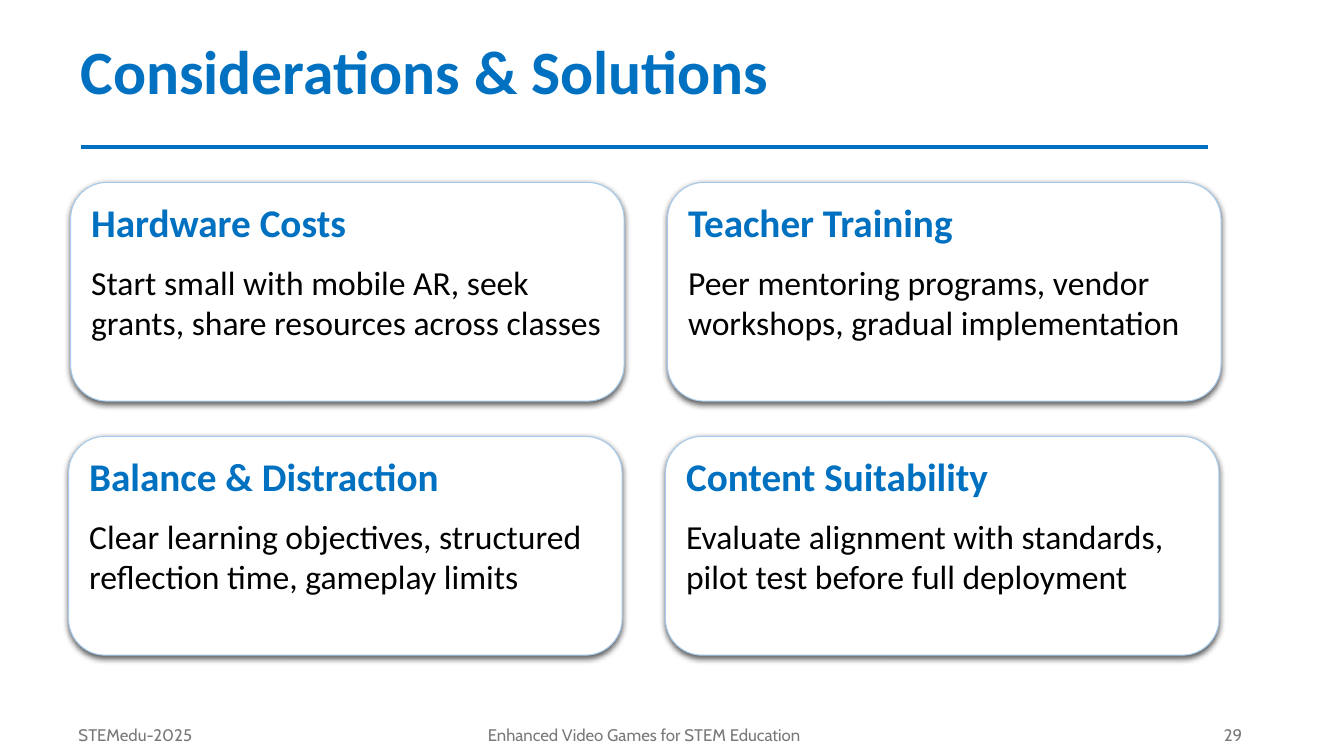
from lxml import etree
from pptx import Presentation
from pptx import util as u
from pptx.dml.color import RGBColor
from pptx.enum import shapes, text
from pptx.oxml import ns, parse_xml

BLUE = RGBColor(0x00, 0x70, 0xC0)
PALE_BLUE = RGBColor(0xA6, 0xCA, 0xEC)
GREY = RGBColor(0x79, 0x79, 0x79)
BLACK = RGBColor(0, 0, 0)
WHITE = RGBColor(0xFF, 0xFF, 0xFF)

CARDS = [
    ("Hardware Costs", "Start small with mobile AR, seek grants, share resources across classes"),
    ("Teacher Training", "Peer mentoring programs, vendor workshops, gradual implementation"),
    ("Balance & Distraction", "Clear learning objectives, structured reflection time, gameplay limits"),
    ("Content Suitability", "Evaluate alignment with standards, pilot test before full deployment"),
]
FOOTERS = [
    ("29", 9.42, 3, text.PP_ALIGN.RIGHT),
    ("Enhanced Video Games for STEM Education", 2.93, 6.92, text.PP_ALIGN.CENTER),
    ("STEMedu-2025", 0.68, 2.25, text.PP_ALIGN.LEFT),
]
SHADOW = (
    f'<a:effectLst {ns.nsdecls("a")}>'
    '<a:outerShdw blurRad="57150" dist="19050" dir="5400000" algn="ctr" rotWithShape="0">'
    '<a:srgbClr val="000000"><a:alpha val="63000"/></a:srgbClr>'
    '</a:outerShdw></a:effectLst>'
)


class Deck:
    """Holds the style and the current slide, and draws each kind of element."""

    body_font = "Calibri"
    footer_font = "Cabin"

    def __init__(self):
        self.prs = Presentation()
        self.prs.slide_width = u.Inches(13.33)
        self.prs.slide_height = u.Inches(7.5)
        self.s = self.prs.slides.add_slide(self.prs.slide_layouts[5])

    def run(self, p, words, size, color, font, bold=False):
        r = p.add_run()
        r.text = words
        r.font.size = u.Pt(size)
        r.font.name = font
        r.font.bold = bold
        r.font.color.rgb = color

    def title(self, words):
        sp = self.s.shapes.title
        sp.left, sp.top = u.Inches(0), u.Inches(0.01)
        sp.width, sp.height = u.Inches(13.33), u.Inches(1.45)
        tf = sp.text_frame
        tf.auto_size = text.MSO_AUTO_SIZE.NONE
        tf.vertical_anchor = text.MSO_ANCHOR.MIDDLE
        p = tf.paragraphs[0]
        p.alignment = text.PP_ALIGN.LEFT
        p.line_spacing = 0.9
        pPr = p._p.get_or_add_pPr()
        pPr.set("marL", str(u.Inches(0.7)))
        pPr.set("indent", "0")
        self.run(p, words, 44, BLUE, self.body_font, True)

    def rule(self, x1, x2, y):
        line = self.s.shapes.add_connector(
            shapes.MSO_CONNECTOR.STRAIGHT, u.Inches(x1), u.Inches(y), u.Inches(x2), u.Inches(y))
        line.line.color.rgb = BLUE
        line.line.width = u.Pt(3.25)
        etree.SubElement(line._element.spPr, ns.qn("a:effectLst"))

    def footer(self, words, x, width, align):
        sp = self.s.shapes.add_textbox(u.Inches(x), u.Inches(7.09), u.Inches(width), u.Inches(0.4))
        tf = sp.text_frame
        tf.word_wrap = True
        tf.vertical_anchor = text.MSO_ANCHOR.MIDDLE
        p = tf.paragraphs[0]
        p.alignment = align
        self.run(p, words, 12, GREY, self.footer_font)

    def card(self, x, y, heading, advice):
        sp = self.s.shapes.add_shape(
            shapes.MSO_SHAPE.ROUNDED_RECTANGLE,
            u.Inches(x), u.Inches(y), u.Inches(5.49), u.Inches(2.17))
        sp.fill.solid()
        sp.fill.fore_color.rgb = WHITE
        sp.line.color.rgb = PALE_BLUE
        sp.line.width = u.Pt(0.75)
        sp._element.spPr.append(parse_xml(SHADOW))
        tf = sp.text_frame
        tf.word_wrap = True
        tf.vertical_anchor = text.MSO_ANCHOR.TOP
        heading_p, advice_p = tf.paragraphs[0], tf.add_paragraph()
        for p in (heading_p, advice_p):
            p.alignment = text.PP_ALIGN.LEFT
            p.space_after = u.Pt(12)
        self.run(heading_p, heading, 28, BLUE, self.body_font, True)
        self.run(advice_p, advice, 24, BLACK, self.body_font)


def main():
    deck = Deck()
    deck.title("Considerations & Solutions")
    deck.rule(0.8, 11.98, 1.46)
    for footer in FOOTERS:
        deck.footer(*footer)
    for i, (heading, advice) in enumerate(CARDS):
        row, col = divmod(i, 2)
        deck.card(0.7 + 5.92 * col - 0.02 * row, 1.81 + 2.52 * row, heading, advice)
    deck.prs.save("out.pptx")


if __name__ == "__main__":
    main()
